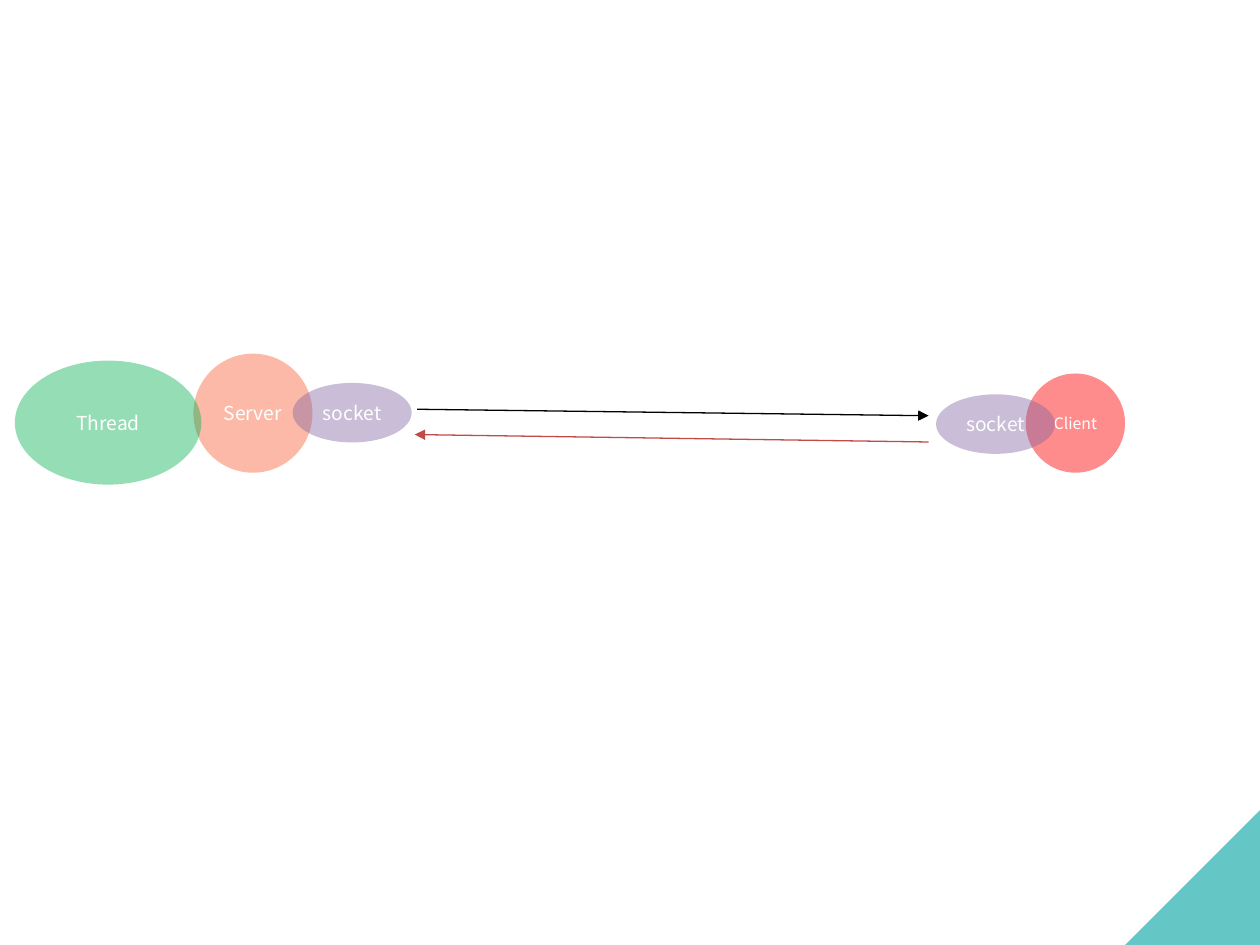
from pptx import Presentation
from pptx.dml.color import RGBColor
from pptx.enum import shapes, text
from pptx.oxml.ns import qn
from pptx.util import Cm, Pt
from lxml import etree

FONT = "Noto Sans CJK KR"
WHITE = RGBColor(0xFF, 0xFF, 0xFF)
BLACK = RGBColor(0, 0, 0)
TEAL = RGBColor(0x65, 0xC7, 0xC5)
ORANGE = RGBColor(0xFA, 0x5A, 0x2E)
RED = RGBColor(0xFF, 0, 0)
PURPLE = RGBColor(0x80, 0x64, 0xA2)
GREEN = RGBColor(0, 0xB0, 0x50)
BRICK = RGBColor(0xBF, 0x4C, 0x48)

WIDE, HIGH, CORNER = 25.4, 19.05, 2.72
NODES = [
    ("Server", 3.9, 7.13, 2.4, 2.4, ORANGE, 42, 11),
    ("Client", 20.68, 7.53, 2, 2, RED, 45, 9),
    ("socket", 18.87, 7.95, 2.4, 1.2, PURPLE, 42, 11),
    ("Thread", 0.3, 7.27, 3.76, 2.5, GREEN, 42, 11),
    ("socket", 5.9, 7.72, 2.4, 1.2, PURPLE, 42, 11),
]
ARROWS = [
    (18.72, 8.91, 8.36, 8.76, BRICK),
    (8.41, 8.25, 18.72, 8.38, BLACK),
]

deck = Presentation()
deck.slide_width, deck.slide_height = Cm(WIDE), Cm(HIGH)
slide = deck.slides.add_slide(deck.slide_layouts[6])


def draw(kind, x, y, w, h, color, alpha=100):
    shape = slide.shapes.add_shape(kind, Cm(x), Cm(y), Cm(w), Cm(h))
    shape.shadow.inherit = False
    shape.fill.solid()
    shape.fill.fore_color.rgb = color
    shape.line.fill.background()
    if alpha < 100:
        tint = shape.fill._xPr.find(qn("a:solidFill"))[0]
        etree.SubElement(tint, qn("a:alpha"), val=str(alpha * 1000))
    return shape


def write(shape, words, size=11, color=WHITE, font=FONT):
    frame = shape.text_frame
    frame.word_wrap = False
    frame.vertical_anchor = text.MSO_ANCHOR.MIDDLE
    para = frame.paragraphs[0]
    para.alignment = text.PP_ALIGN.CENTER
    run = para.add_run()
    run.text = words
    run.font.size = Pt(size)
    run.font.name = font
    run.font.color.rgb = color


def arrow(x1, y1, x2, y2, color):
    line = slide.shapes.add_connector(
        shapes.MSO_CONNECTOR.STRAIGHT, Cm(x1), Cm(y1), Cm(x2), Cm(y2))
    line.line.color.rgb = color
    line.line.width = Pt(0.75)
    etree.SubElement(line.line._get_or_add_ln(), qn("a:tailEnd"), type="triangle")
    etree.SubElement(line._element.spPr, qn("a:effectLst"))


corner = draw(shapes.MSO_SHAPE.RIGHT_TRIANGLE, WIDE - CORNER, HIGH - CORNER,
              CORNER, CORNER, TEAL)
corner.rotation = 270

for name, x, y, w, h, color, alpha, size in NODES:
    node = draw(shapes.MSO_SHAPE.OVAL, x, y, w, h, color, alpha)
    write(node, name, size=size)

for ends in ARROWS:
    arrow(*ends)

deck.save("out.pptx")
